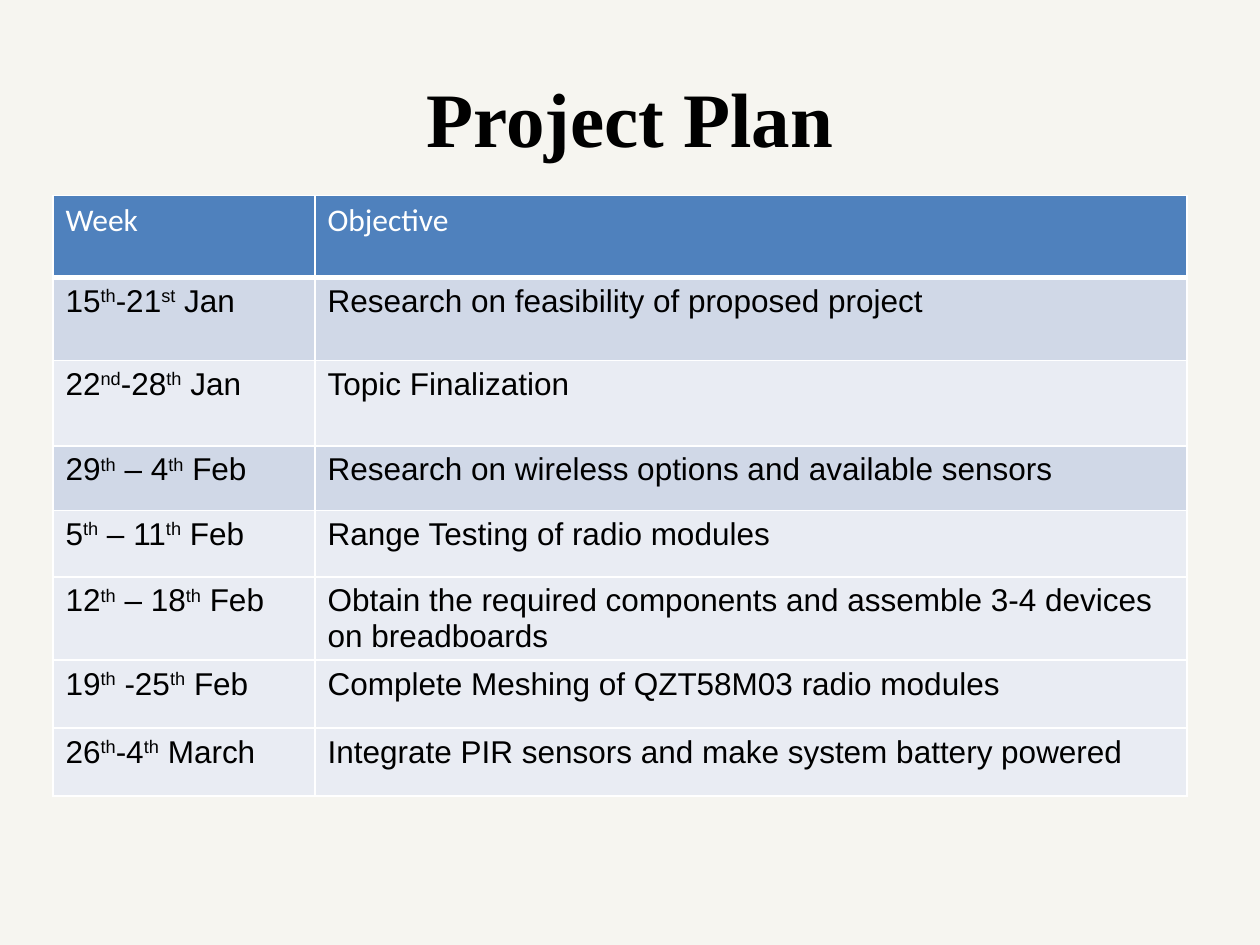
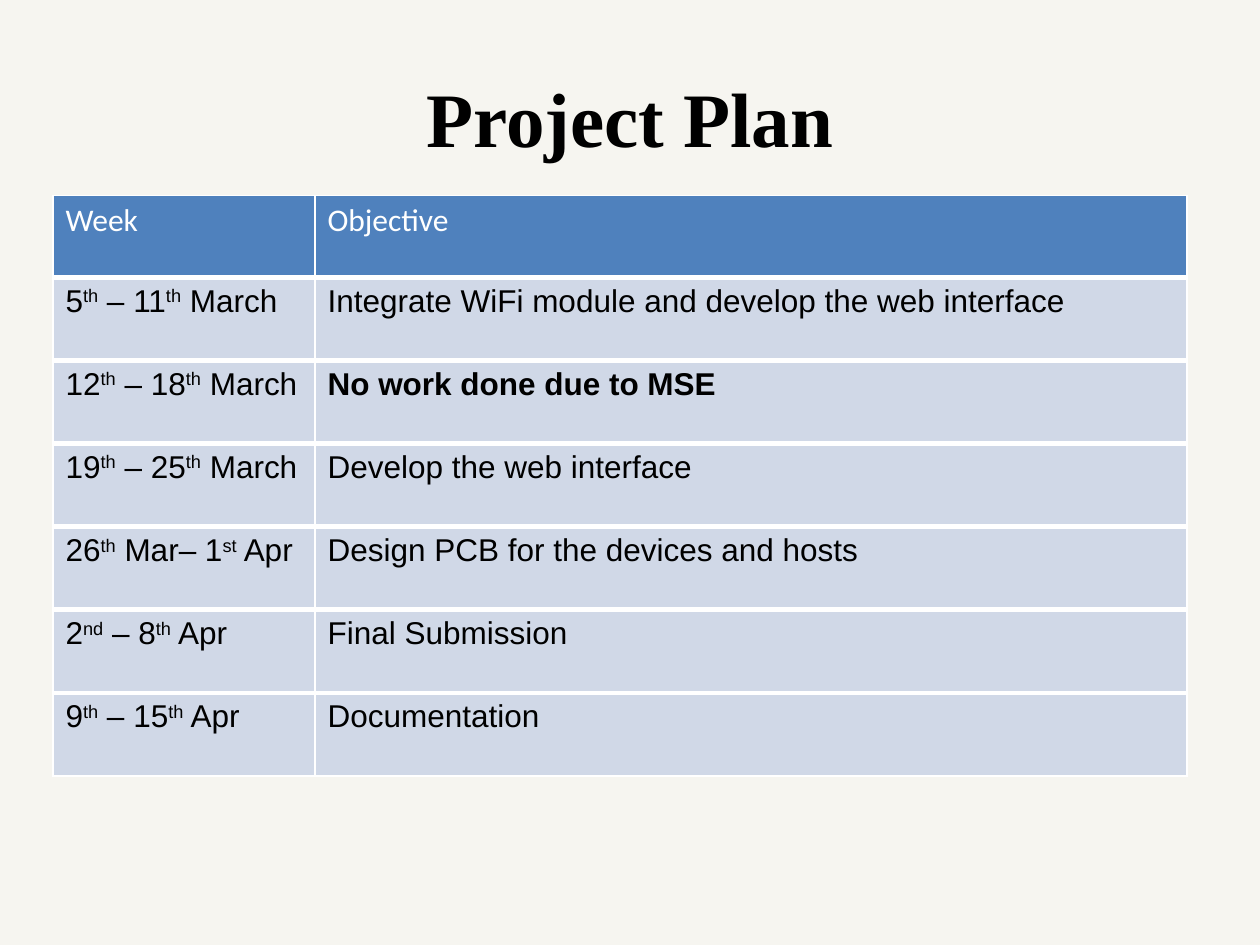
from dataclasses import dataclass

from lxml.etree import SubElement
from pptx import Presentation
from pptx.dml.color import RGBColor
from pptx.enum.text import MSO_ANCHOR as Anchor, PP_ALIGN as Align
from pptx.oxml.ns import qn
from pptx.util import Inches, Pt

COLORS = {
    "background": "F6F5F0",
    "header": "4F81BD",
    "dark band": "D0D8E7",
    "light band": "E9ECF3",
    "border": "FFFFFF",
    "header text": "FFFFFF",
    "text": "000000",
}
TITLE_FORMAT = {"name": "Times New Roman", "size": Pt(44), "bold": True}
HEADER_FORMAT = {"name": "Calibri", "size": Pt(18), "bold": False}
BODY_FORMAT = {"name": "Arial", "size": Pt(18), "bold": False}
THIN, HEAVY = Pt(0.96), Pt(3)
COLUMN_WIDTHS = (2.08, 6.92)


@dataclass
class PlanRow:
    dates: str
    objective: str
    band: str = "dark band"
    height: float = 0.66
    bold: bool = False


HEADER = PlanRow("Week", "Objective", "header", 0.65)
EARLY_WEEKS = [
    PlanRow("15^th^-21^st^ Jan", "Research on feasibility of proposed project"),
    PlanRow("22^nd^-28^th^ Jan", "Topic Finalization", "light band", 0.68),
    PlanRow("29^th^ – 4^th^ Feb", "Research on wireless options and available sensors", height=0.51),
    PlanRow("5^th^ – 11^th^ Feb", "Range Testing of radio modules", "light band", 0.53),
    PlanRow("12^th^ – 18^th^ Feb", "Obtain the required components and assemble 3-4 devices on breadboards",
            "light band"),
    PlanRow("19^th^ -25^th^ Feb", "Complete Meshing of QZT58M03 radio modules", "light band", 0.54),
    PlanRow("26^th^-4^th^ March", "Integrate PIR sensors and make system battery powered", "light band", 0.54),
]
LATE_WEEKS = [
    PlanRow("5^th^ – 11^th^ March", "Integrate WiFi module and develop the web interface"),
    PlanRow("12^th^ – 18^th^ March", "No work done due to MSE", bold=True),
    PlanRow("19^th^ – 25^th^ March", "Develop the web interface"),
    PlanRow("26^th^ Mar– 1^st^ Apr", "Design PCB for the devices and hosts"),
    PlanRow("2^nd^ – 8^th^ Apr", "Final Submission"),
    PlanRow("9^th^ – 15^th^ Apr", "Documentation"),
]


def color(name):
    return RGBColor.from_string(COLORS[name])


def format_font(font, values, color_name):
    for attribute, value in values.items():
        setattr(font, attribute, value)
    font.color.rgb = color(color_name)


def write_text(paragraph, text, values, color_name):
    for index, part in enumerate(text.split("^")):
        run = paragraph.add_run()
        run.text = part
        format_font(run.font, values, color_name)
        if index % 2:
            run._r.get_or_add_rPr().set("baseline", "30000")


def add_borders(cell, top, bottom):
    properties = cell._tc.get_or_add_tcPr()
    for side, width in {"L": THIN, "R": THIN, "T": top, "B": bottom}.items():
        line = SubElement(properties, qn(f"a:ln{side}"), w=str(int(width)))
        fill = SubElement(line, qn("a:solidFill"))
        SubElement(fill, qn("a:srgbClr"), val=COLORS["border"])


def add_title(slide, text):
    title = slide.shapes.title
    title.left, title.top, title.width, title.height = map(Inches, (0.5, 0.3, 9, 1.25))
    title.text_frame.vertical_anchor = Anchor.MIDDLE
    paragraph = title.text_frame.paragraphs[0]
    paragraph.alignment = Align.CENTER
    write_text(paragraph, text, TITLE_FORMAT, "text")


def add_plan_table(slide, weeks, heavy_lines):
    rows = [HEADER, *weeks]
    height = sum(row.height for row in rows)
    table = slide.shapes.add_table(
        len(rows), len(COLUMN_WIDTHS), Inches(0.42), Inches(1.55),
        Inches(sum(COLUMN_WIDTHS)), Inches(height)).table
    for column, width in zip(table.columns, COLUMN_WIDTHS):
        column.width = Inches(width)
    for index, row in enumerate(rows):
        table.rows[index].height = Inches(row.height)
        top, bottom = (HEAVY if line in heavy_lines else THIN for line in (index, index + 1))
        values, color_name = (HEADER_FORMAT, "header text") if row is HEADER else (BODY_FORMAT, "text")
        cell_formats = (values, {**values, "bold": row.bold})
        for cell, text, cell_format in zip(table.rows[index].cells, (row.dates, row.objective), cell_formats):
            add_borders(cell, top, bottom)
            cell.fill.solid()
            cell.fill.fore_color.rgb = color(row.band)
            write_text(cell.text_frame.paragraphs[0], text, cell_format, color_name)


def add_plan_slide(presentation, weeks, heavy_lines):
    slide = presentation.slides.add_slide(presentation.slide_layouts.get_by_name("Title Only"))
    add_title(slide, "Project Plan")
    add_plan_table(slide, weeks, heavy_lines)


def main():
    presentation = Presentation()
    presentation.slide_width, presentation.slide_height = Inches(10), Inches(7.5)
    background = presentation.slide_master.background.fill
    background.solid()
    background.fore_color.rgb = color("background")
    add_plan_slide(presentation, EARLY_WEEKS, heavy_lines=[1])
    add_plan_slide(presentation, LATE_WEEKS, heavy_lines=range(1, len(LATE_WEEKS) + 1))
    presentation.save("out.pptx")


if __name__ == "__main__":
    main()
